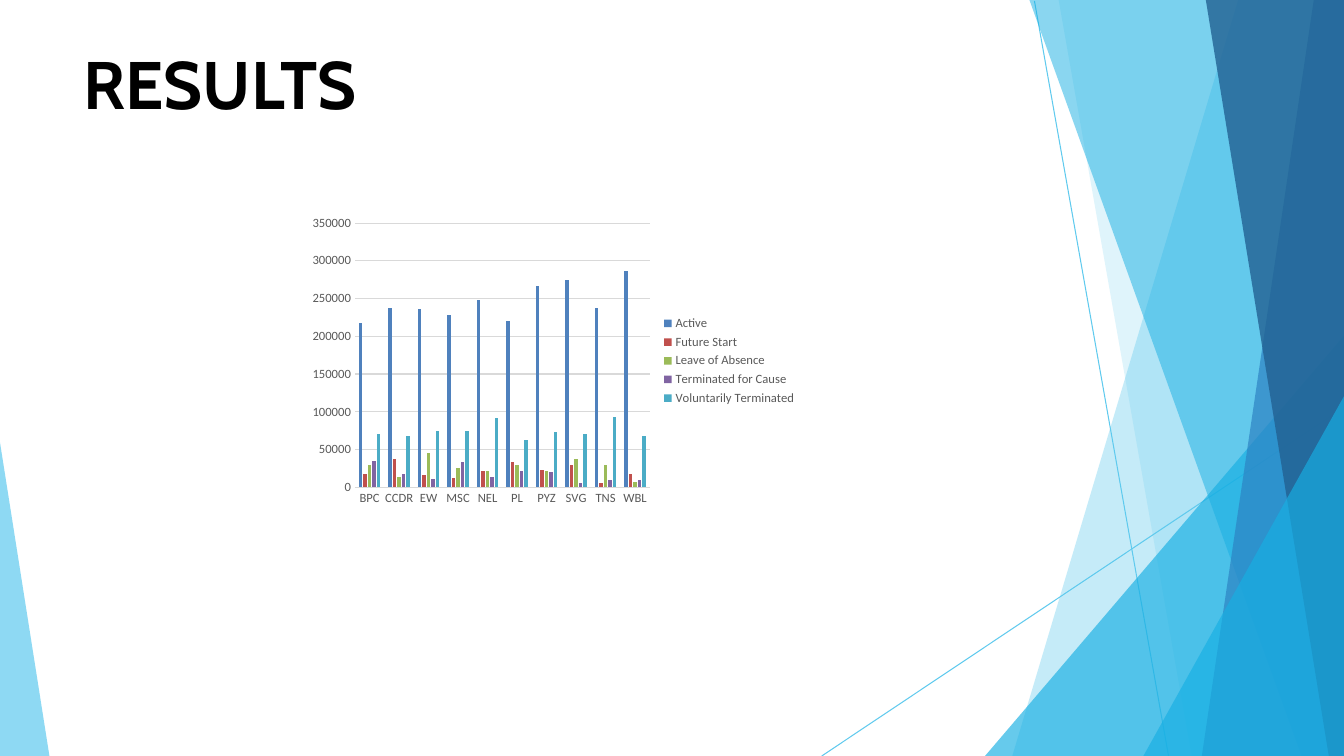
from dataclasses import dataclass

from lxml import etree
from pptx import Presentation
from pptx import util as u
from pptx.chart import data as cd
from pptx.dml.color import RGBColor
from pptx.enum import chart as ch, shapes, text
from pptx.oxml import ns

# Colours
BLACK = RGBColor(0x00, 0x00, 0x00)
GREY = RGBColor(0x59, 0x59, 0x59)
PALE = RGBColor(0xD9, 0xD9, 0xD9)
SKY = RGBColor(0x5F, 0xCA, 0xEE)
AQUA = RGBColor(0x17, 0xAF, 0xE3)
BLUE = RGBColor(0x2D, 0x83, 0xC3)
NAVY = RGBColor(0x22, 0x61, 0x92)

WIDE, HIGH = 13.33, 7.5
EDGE = (WIDE, HIGH)  # bottom right corner
TOP = (WIDE, 0)      # top right corner


@dataclass
class Ray:
    start: tuple[float, float]
    end: tuple[float, float]


@dataclass
class Facet:
    points: list[tuple[float, float]]
    fill: RGBColor
    alpha: int  # percent


@dataclass
class Series:
    name: str
    color: RGBColor
    values: list[int]  # thousands


RAYS = [
    Ray((10.26, 0.01), (11.59, HIGH)),
    Ray((WIDE, 4.04), (8.15, HIGH)),
]

FACETS = [
    Facet([TOP, (12.28, 0), (10.04, HIGH), EDGE], SKY, 36),
    Facet([TOP, (10.5, 0), (11.82, HIGH), EDGE], SKY, 20),
    Facet([(WIDE, 3.33), (9.77, HIGH), EDGE], AQUA, 66),
    Facet([TOP, (10.21, 0), (12.91, HIGH), EDGE], AQUA, 50),
    Facet([TOP, (13.03, 0), (11.92, HIGH), EDGE], BLUE, 70),
    Facet([TOP, (11.96, 0), (13.18, HIGH), EDGE], NAVY, 80),
    Facet([(WIDE, 3.93), (11.34, HIGH), EDGE], AQUA, 66),
    Facet([(0, 4.39), (0, HIGH), (0.49, HIGH)], SKY, 70),
]

CODES = ["BPC", "CCDR", "EW", "MSC", "NEL", "PL", "PYZ", "SVG", "TNS", "WBL"]
SERIES = [
    Series("Active", RGBColor(0x4F, 0x81, 0xBD),
           [218, 237, 236, 228, 248, 220, 267, 274, 237, 287]),
    Series("Future Start", RGBColor(0xC0, 0x50, 0x4D),
           [18, 37, 16, 12, 21, 33, 23, 29, 6, 17]),
    Series("Leave of Absence", RGBColor(0x9B, 0xBB, 0x59),
           [29, 13, 46, 25, 22, 30, 22, 37, 30, 7]),
    Series("Terminated for Cause", RGBColor(0x80, 0x64, 0xA2),
           [35, 18, 11, 33, 14, 21, 20, 5, 10, 10]),
    Series("Voluntarily Terminated", RGBColor(0x4B, 0xAC, 0xC6),
           [70, 68, 74, 75, 92, 63, 73, 71, 93, 68]),
]


def draw_ray(slide, ray: Ray) -> None:
    ends = [u.Inches(n) for n in ray.start + ray.end]
    line = slide.shapes.add_connector(shapes.MSO_CONNECTOR.STRAIGHT, *ends)
    line.line.color.rgb = SKY
    line.line.width = u.Pt(0.75)
    etree.SubElement(line._element.spPr, ns.qn("a:effectLst"))


def draw_facet(slide, facet: Facet) -> None:
    first, *rest = [(u.Inches(x), u.Inches(y)) for x, y in facet.points]
    pen = slide.shapes.build_freeform(*first)
    pen.add_line_segments(rest, close=True)
    shape = pen.convert_to_shape()
    shape.shadow.inherit = False
    shape.line.fill.background()
    shape.fill.solid()
    shape.fill.fore_color.rgb = facet.fill
    tint = shape._element.spPr.find(ns.qn("a:solidFill"))[0]
    alpha = etree.SubElement(tint, ns.qn("a:alpha"))
    alpha.set("val", str(facet.alpha * 1000))


def set_font(font, name: str, size: float, color: RGBColor,
             bold: bool = False) -> None:
    font.name, font.size, font.bold = name, u.Pt(size), bold
    font.color.rgb = color


def add_text(slide, words: str, *, left: float, top: float, width: float,
             height: float, **style) -> None:
    box = slide.shapes.add_textbox(*map(u.Inches, (left, top, width, height)))
    frame = box.text_frame
    frame.word_wrap = True
    frame.vertical_anchor = text.MSO_ANCHOR.TOP
    frame.margin_left = frame.margin_right = 0
    frame.margin_top = frame.margin_bottom = 0
    run = frame.paragraphs[0].add_run()
    run.text = words
    set_font(run.font, **style)


def style_line(line, color: RGBColor) -> None:
    line.color.rgb = color
    line.width = u.Pt(0.75)


def add_chart(slide, left: float, top: float, width: float,
              height: float) -> None:
    data = cd.CategoryChartData()
    data.categories = CODES
    for item in SERIES:
        data.add_series(item.name, [n * 1000 for n in item.values])
    place = map(u.Inches, (left, top, width, height))
    chart = slide.shapes.add_chart(
        ch.XL_CHART_TYPE.COLUMN_CLUSTERED, *place, data).chart
    set_font(chart.font, "Calibri", 10, BLACK)
    chart.has_title = False

    # Bars
    plot = chart.plots[0]
    plot.gap_width, plot.overlap = 219, -27
    plot.vary_by_categories = False
    for item, bars in zip(SERIES, plot.series):
        bars.format.fill.solid()
        bars.format.fill.fore_color.rgb = item.color

    # Axes
    for axis in (chart.category_axis, chart.value_axis):
        axis.major_tick_mark = axis.minor_tick_mark = ch.XL_TICK_MARK.NONE
        set_font(axis.tick_labels.font, "Calibri", 9, GREY)
    style_line(chart.category_axis.format.line, PALE)
    chart.value_axis.format.line.fill.background()
    chart.value_axis.has_major_gridlines = True
    style_line(chart.value_axis.major_gridlines.format.line, PALE)

    # Legend
    chart.has_legend = True
    chart.legend.position = ch.XL_LEGEND_POSITION.RIGHT
    chart.legend.include_in_layout = False
    set_font(chart.legend.font, "Calibri", 9, GREY)


def main() -> None:
    deck = Presentation()
    deck.slide_width, deck.slide_height = u.Inches(WIDE), u.Inches(HIGH)
    slide = deck.slides.add_slide(deck.slide_layouts[6])

    # Backdrop
    for ray in RAYS:
        draw_ray(slide, ray)
    for facet in FACETS:
        draw_facet(slide, facet)

    # Title and chart
    add_text(slide, "RESULTS", left=0.83, top=0.42, width=11.68, height=0.83,
             name="Cabin", size=48, color=BLACK, bold=True)
    add_chart(slide, 3, 2.08, 5, 3)
    deck.save("out.pptx")


if __name__ == "__main__":
    main()
